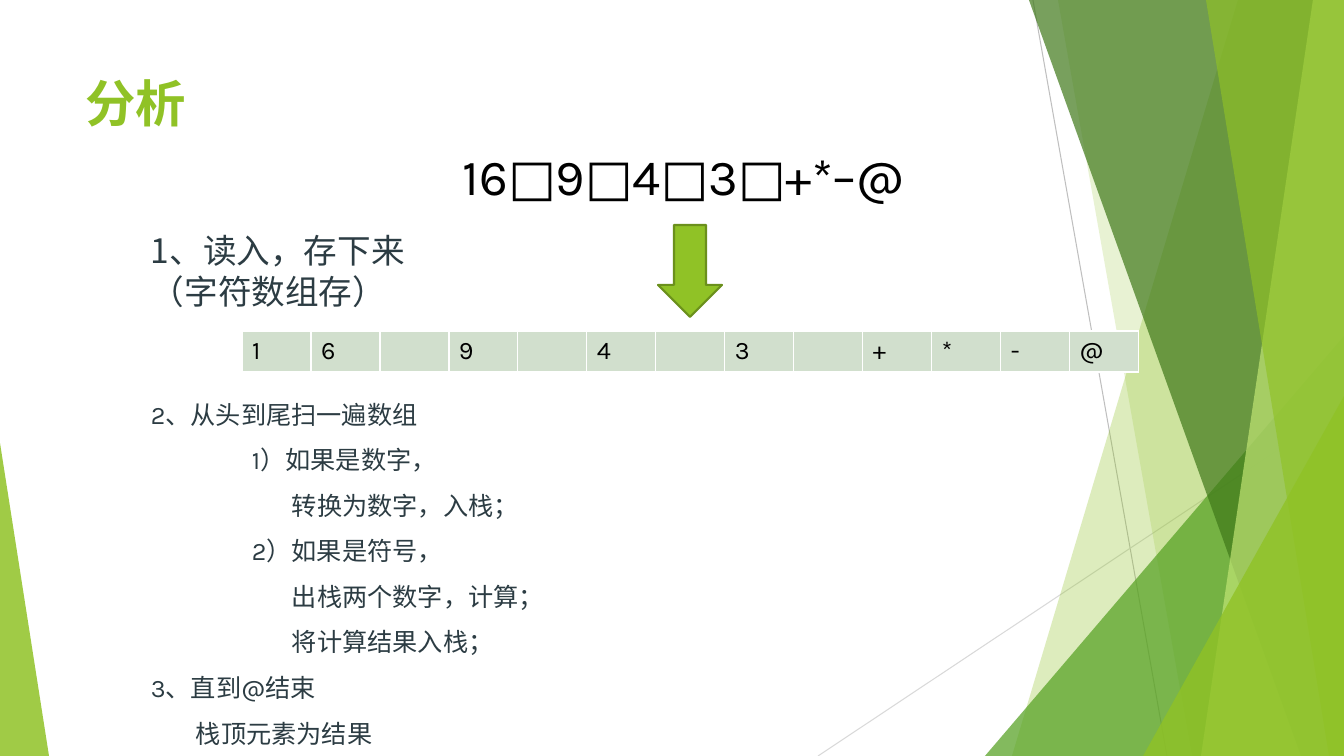
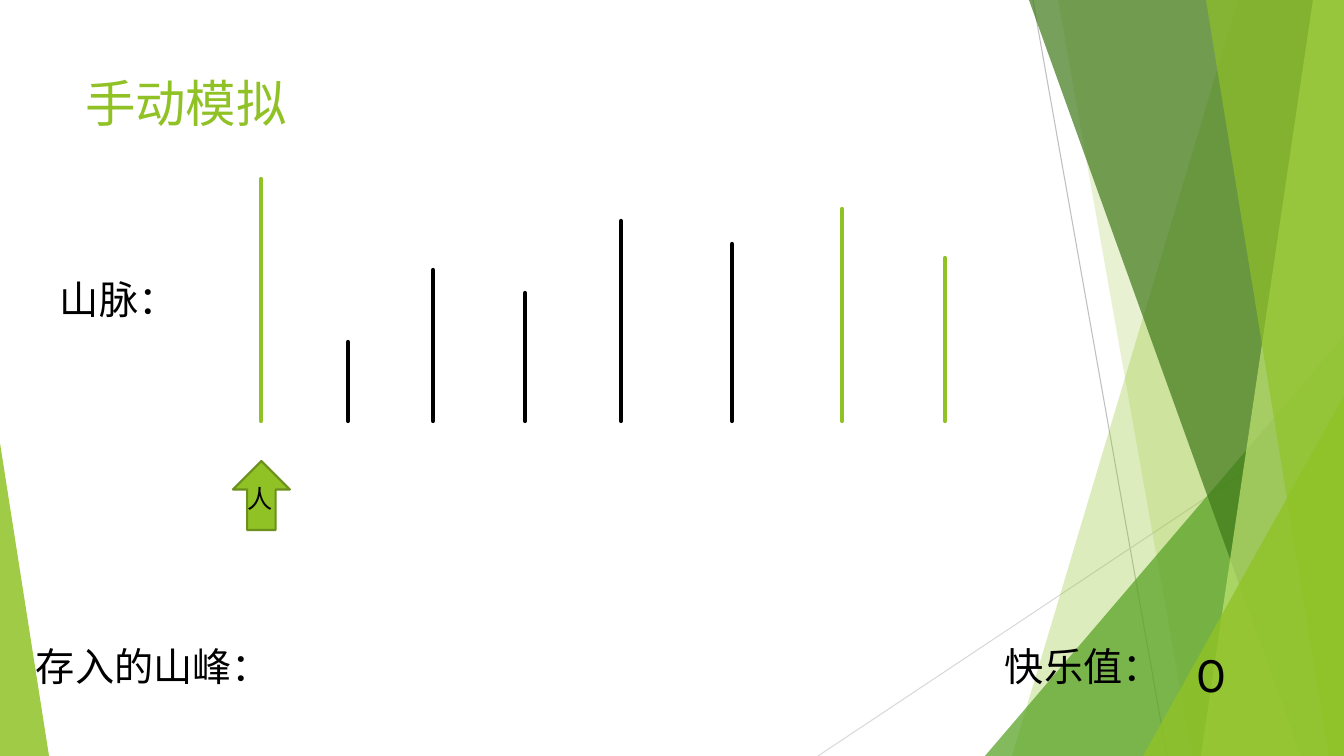
from lxml.etree import SubElement
from pptx import Presentation
from pptx.dml.color import RGBColor
from pptx.enum.shapes import MSO_CONNECTOR, MSO_SHAPE
from pptx.enum.text import MSO_ANCHOR, MSO_AUTO_SIZE, PP_ALIGN
from pptx.oxml.ns import qn
from pptx.util import Emu, Pt

WIDE, HIGH = 1344, 756
UNIT = 914400 / 100.8
LIME, EDGE, BLACK, SLATE, WHITE = "90C226", "6B901C", "000000", "2C3C43", "FFFFFF"
CELL = "D1DFCD"
KARLA, NOTO = "Karla", "Noto Sans CJK SC"

RAYS = [((1033, 0, 1167, 756), "BFBFBF"), ((1344, 406, 818, 756), "D9D9D9")]
FACETS = [
    ("band", (1238, 1012), LIME, 30),
    ("band", (1058, 1192), LIME, 20),
    ("peak", (985, 336, 359, 1), "54A021", 72),
    ("band", (1029, 1301), "3F7819", 70),
    ("band", (1313, 1201), "C0E474", 70),
    ("band", (1206, 1329), LIME, 65),
    ("peak", (1143, 396, 201, 1), LIME, 80),
    ("peak", (0, 443, 49, 0), LIME, 85),
]

INPUT = "16□9□4□3□+*–@"
CHARS = ["1", "6", "", "9", "", "4", "", "3", "", "+", "*", "-", "@"]
STORE = [("1、读入，存下来", 0), ("（字符数组存）", 0)]
STEPS = [
    ("2、从头到尾扫一遍数组", 0),
    ("1）如果是数字，", 101),
    ("转换为数字，入栈；", 141),
    ("2）如果是符号，", 101),
    ("出栈两个数字，计算；", 141),
    ("将计算结果入栈；", 141),
    ("3、直到@结束", 0),
    ("栈顶元素为结果", 45),
]

BASE = 421
PEAKS = [
    (261, 179, LIME), (348, 342, BLACK), (433, 270, BLACK), (525, 293, BLACK),
    (621, 221, BLACK), (732, 244, BLACK), (842, 209, LIME), (945, 258, LIME),
]
LABELS = [
    ("山脉：", (50, 270, 140, 57)),
    ("存入的山峰：", (26, 637, 235, 57)),
    ("快乐值：", (995, 637, 178, 57)),
]


def px(*nums):
    return [Emu(round(n * UNIT)) for n in nums]


def rgb(code):
    return RGBColor.from_string(code)


def style(para, size, color=BLACK, font=KARLA, bold=False):
    for run in para.runs:
        run.font.size, run.font.name, run.font.bold = Pt(size), font, bold
        run.font.color.rgb = rgb(color)
        SubElement(run._r.get_or_add_rPr(), qn("a:ea"), typeface=KARLA)


def write(slide, box, rows, size, color=BLACK, font=KARLA, lead=None):
    frame = slide.shapes.add_textbox(*px(*box)).text_frame
    frame.word_wrap = True
    frame.text = "\n".join(text for text, left in rows)
    for para, (text, left) in zip(frame.paragraphs, rows):
        if left:
            props = para._p.get_or_add_pPr()
            props.set("marL", str(px(left)[0]))
            props.set("indent", "0")
        if lead:
            para.line_spacing = Pt(lead)
        style(para, size, color, font)


def stroke(slide, ends, color, width):
    line = slide.shapes.add_connector(MSO_CONNECTOR.STRAIGHT, *px(*ends))
    line.line.color.rgb = rgb(color)
    line.line.width = Pt(width)
    SubElement(line._element.spPr, qn("a:effectLst"))
    return line


def paint(shape, color, edge=None):
    shape.shadow.inherit = False
    shape.fill.solid()
    shape.fill.fore_color.rgb = rgb(color)
    if edge:
        shape.line.color.rgb = rgb(edge)
        shape.line.width = Pt(1.5)
    else:
        shape.line.fill.background()


def facet(slide, kind, geo, color, alpha):
    if kind == "band":
        top, low = geo
        path = slide.shapes.build_freeform(top, 0, scale=UNIT)
        path.add_line_segments([(WIDE, 0), (WIDE, HIGH), (low, HIGH)], close=True)
        shape = path.convert_to_shape()
    else:
        left, top, width, tip = geo
        shape = slide.shapes.add_shape(
            MSO_SHAPE.ISOSCELES_TRIANGLE, *px(left, top, width, HIGH - top))
        shape.adjustments[0] = tip
    paint(shape, color)
    tint = shape._element.spPr.find(".//" + qn("a:srgbClr"))
    SubElement(tint, qn("a:alpha"), val=str(alpha * 1000))
    return shape


def share(slide):
    parts = [stroke(slide, ends, color, 0.75) for ends, color in RAYS]
    parts += [facet(slide, *item) for item in FACETS]
    for part in parts:
        slide.slide_layout.shapes._spTree.append(part._element)


def start(text, bold=False):
    slide = deck.slides.add_slide(deck.slide_layouts[5])
    title = slide.shapes.title
    title.left, title.top, title.width, title.height = px(75, 67, 948, 146)
    frame = title.text_frame
    frame.text = text
    frame.auto_size = MSO_AUTO_SIZE.NONE
    frame.vertical_anchor = MSO_ANCHOR.TOP
    frame.paragraphs[0].alignment = PP_ALIGN.LEFT
    style(frame.paragraphs[0], 36, LIME, bold=bold)
    return slide


def arrow(slide, kind, box):
    paint(slide.shapes.add_shape(kind, *px(*box)), LIME, EDGE)


def strip(slide, left, top, wide, high):
    table = slide.shapes.add_table(
        1, len(CHARS), *px(left, top, wide * len(CHARS), high)).table
    table.first_row = table.horz_banding = False
    for col, text in enumerate(CHARS):
        table.columns[col].width = px(wide)[0]
        cell = table.cell(0, col)
        cell.text_frame.text = text
        style(cell.text_frame.paragraphs[0], 18)
        props = cell._tc.get_or_add_tcPr()
        for side in ("lnL", "lnR", "lnT", "lnB"):
            line = SubElement(props, qn("a:" + side), w=str(Pt(1)))
            SubElement(SubElement(line, qn("a:solidFill")), qn("a:srgbClr"), val=WHITE)
        cell.fill.solid()
        cell.fill.fore_color.rgb = rgb(CELL)


deck = Presentation()
deck.slide_width, deck.slide_height = px(WIDE, HIGH)

stack = start("分析", bold=True)
share(stack)
write(stack, (453, 140, 490, 72), [(INPUT, 0)], 36)
arrow(stack, MSO_SHAPE.DOWN_ARROW, (658, 225, 64, 92))
strip(stack, 242, 331, 69, 41)
write(stack, (141, 225, 289, 92), STORE, 24, SLATE, NOTO, 29)
write(stack, (141, 379, 562, 377), STEPS, 18, SLATE, lead=32.5)

hills = start("手动模拟")
for x, top, color in PEAKS:
    peak = stroke(hills, (x, top, x, BASE), color, 3)
    peak.line._get_or_add_ln().set("cap", "rnd")
for text, box in LABELS:
    write(hills, box, [(text, 0)], 28, font=NOTO)
arrow(hills, MSO_SHAPE.UP_ARROW, (233, 461, 57, 69))
write(hills, (238, 478, 45, 40), [("人", 0)], 18)
write(hills, (1187, 637, 95, 72), [("0", 0)], 36)

deck.save("out.pptx")
